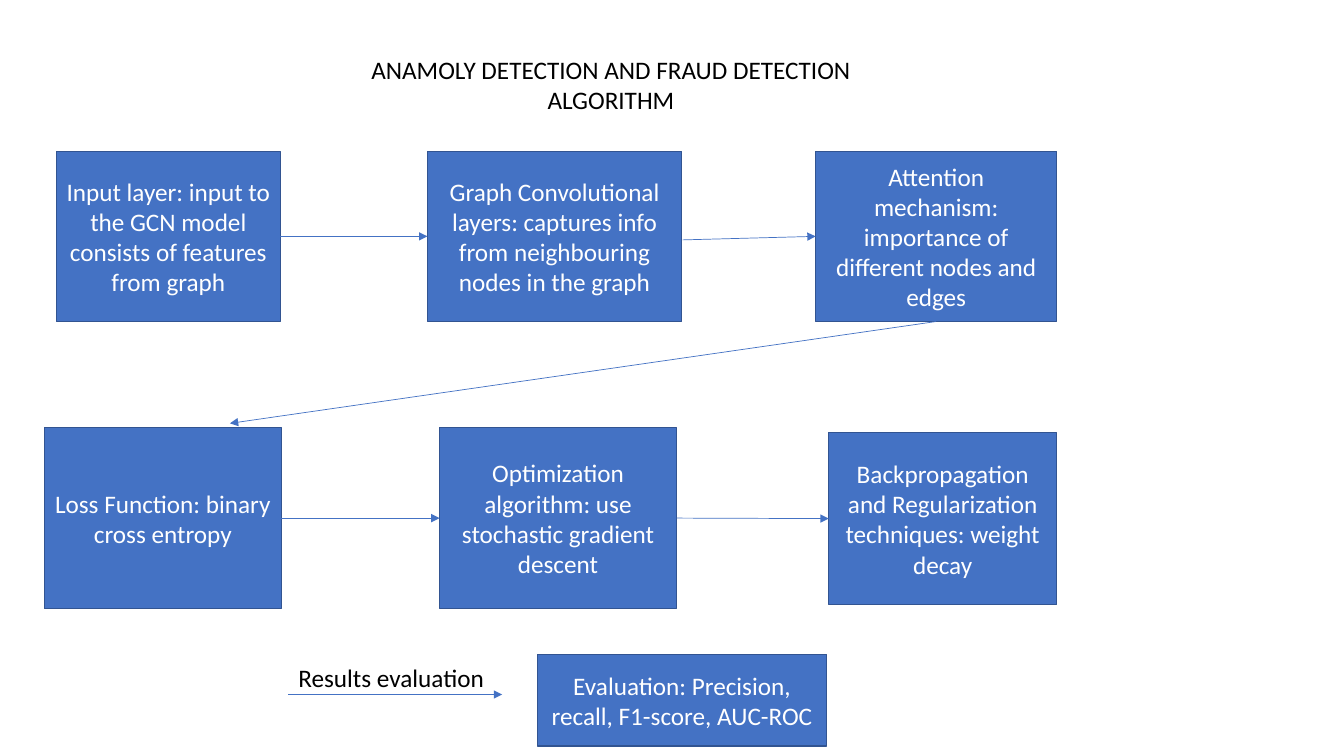
"""Build a flow diagram slide for an anomaly and fraud detection algorithm."""
from lxml import etree
from pptx import Presentation, util as u
from pptx.dml.color import RGBColor
from pptx.enum import shapes, text
from pptx.oxml import ns

PX = u.Inches(1) // 100
COLORS = {"box": "4472C4", "border": "325491", "on_box": "FFFFFF", "text": "000000"}
TOP, RIGHT, BOTTOM, LEFT = 0, 3, 2, 1


def color(name):
    """Return the named colour."""
    return RGBColor.from_string(COLORS[name])


def write(shape, wording, color_name, anchor):
    """Put one centred, wrapped paragraph into a shape."""
    frame = shape.text_frame
    frame.text = wording
    frame.word_wrap = True
    frame.auto_size = text.MSO_AUTO_SIZE.NONE
    frame.vertical_anchor = anchor
    paragraph = frame.paragraphs[0]
    paragraph.alignment = text.PP_ALIGN.CENTER
    paragraph.font.size = u.Pt(18)
    paragraph.font.name = "Calibri"
    paragraph.font.color.rgb = color(color_name)


def set_title(slide, wording, left, top, width, height):
    """Move and fill the title placeholder."""
    title = slide.shapes.title
    title.left, title.top = left * PX, top * PX
    title.width, title.height = width * PX, height * PX
    write(title, wording, "text", text.MSO_ANCHOR.TOP)


def add_label(slide, wording, left, top, width, height):
    """Add a plain text label."""
    label = slide.shapes.add_textbox(left * PX, top * PX, width * PX, height * PX)
    write(label, wording, "text", text.MSO_ANCHOR.TOP)


def add_box(slide, wording, left, top, width, height):
    """Add a filled step box with centred text."""
    box = slide.shapes.add_shape(
        shapes.MSO_SHAPE.RECTANGLE, left * PX, top * PX, width * PX, height * PX)
    box.shadow.inherit = False
    box.fill.solid()
    box.fill.fore_color.rgb = color("box")
    box.line.color.rgb = color("border")
    box.line.width = u.Pt(1)
    write(box, wording, "on_box", text.MSO_ANCHOR.MIDDLE)
    return box


def add_arrow(slide, start=(0, 0), end=(0, 0), source=None, target=None):
    """Add an arrow between points, joined to (box, side) pairs where given."""
    arrow = slide.shapes.add_connector(
        shapes.MSO_CONNECTOR.STRAIGHT, *(value * PX for value in (*start, *end)))
    if source:
        arrow.begin_connect(*source)
    if target:
        arrow.end_connect(*target)
    arrow.line.color.rgb = color("box")
    arrow.line.width = u.Pt(0.5)
    etree.SubElement(arrow.line._get_or_add_ln(), ns.qn("a:tailEnd"), type="triangle")
    etree.SubElement(arrow._element.spPr, ns.qn("a:effectLst"))


def main():
    """Build and save the slide."""
    presentation = Presentation()
    presentation.slide_width, presentation.slide_height = 1333 * PX, 750 * PX
    slide = presentation.slides.add_slide(presentation.slide_layouts[5])

    set_title(slide, "ANAMOLY DETECTION AND FRAUD DETECTION ALGORITHM", 339, 49, 534, 101)
    input_layer = add_box(
        slide, "Input layer: input to the GCN model consists of features from graph",
        56, 150, 222, 169)
    convolution = add_box(
        slide, "Graph Convolutional layers: captures info from neighbouring nodes in the graph",
        424, 150, 252, 169)
    attention = add_box(
        slide, "Attention mechanism: importance of different nodes and edges",
        809, 150, 239, 169)
    loss = add_box(slide, "Loss Function: binary cross entropy", 44, 424, 235, 180)
    optimization = add_box(
        slide, "Optimization algorithm: use stochastic gradient descent", 436, 424, 235, 180)
    backpropagation = add_box(
        slide, "Backpropagation and Regularization techniques: weight decay",
        822, 429, 226, 171)
    add_box(slide, "Evaluation: Precision, recall, F1-score, AUC-ROC", 533, 649, 287, 91)

    for source, target in ((input_layer, convolution), (loss, optimization),
                           (optimization, backpropagation)):
        add_arrow(slide, source=(source, RIGHT), target=(target, LEFT))
    add_arrow(slide, start=(677, 238), target=(attention, LEFT))
    add_arrow(slide, end=(228, 420), source=(attention, BOTTOM))
    add_arrow(slide, start=(286, 689), end=(498, 689))
    add_label(slide, "Results evaluation", 283, 652, 210, 71)

    presentation.save("out.pptx")


if __name__ == "__main__":
    main()
